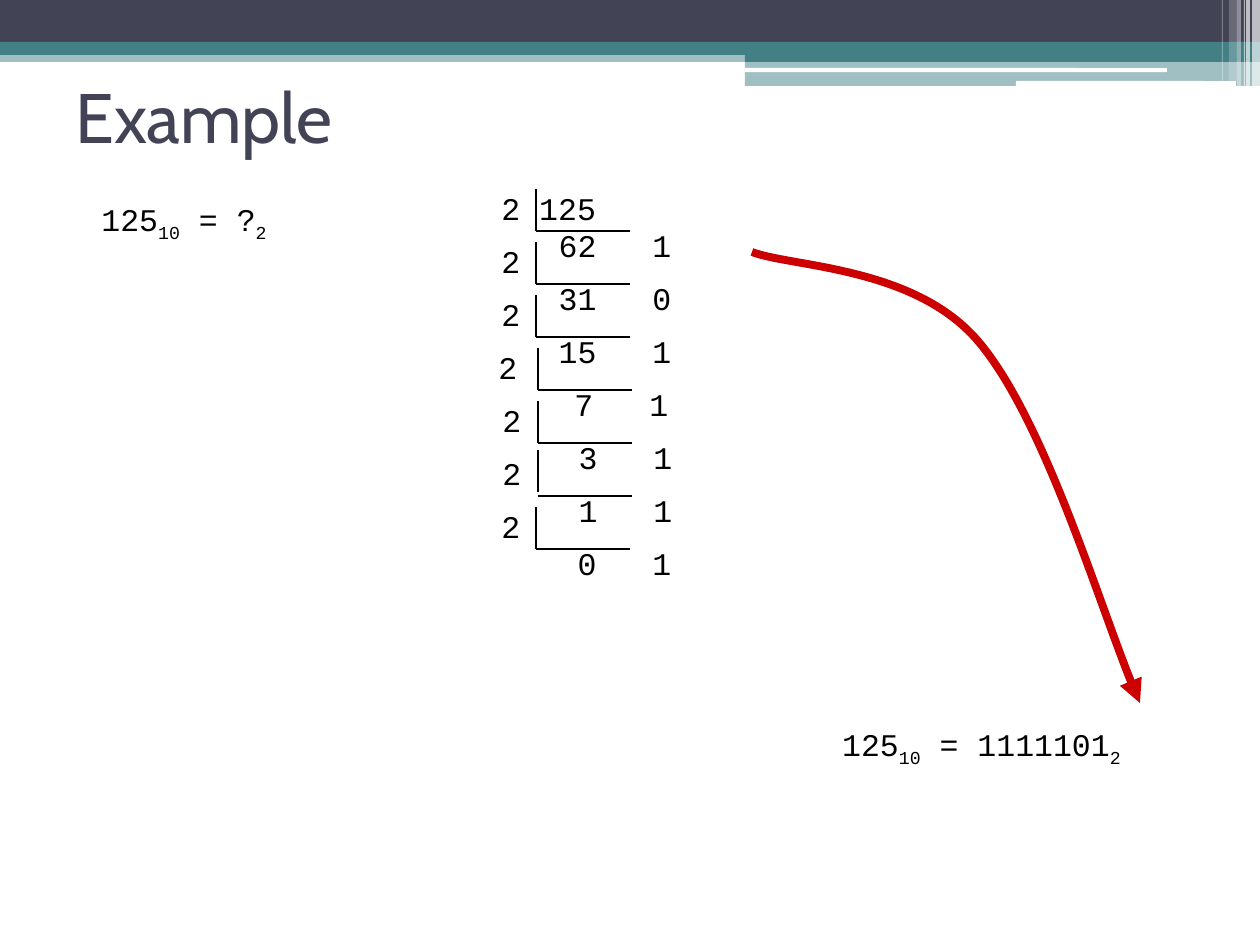
from lxml.etree import SubElement
from pptx import Presentation
from pptx.dml.color import RGBColor
from pptx.enum.shapes import MSO_CONNECTOR, MSO_SHAPE
from pptx.enum.text import MSO_ANCHOR, PP_ALIGN
from pptx.oxml.ns import qn
from pptx.util import Emu, Pt

PX = 914400 / 126
COLORS = {"slate": "424456", "teal": "438086", "white": "FFFFFF",
          "ink": "000000", "arrow": "CC0000"}
HEADING, MONO = "Cabin", "Courier New"


def px(length):
    return Emu(round(length * PX))


def rgb(name):
    return RGBColor.from_string(COLORS[name])


class SlideBuilder:
    def __init__(self, slide):
        self.slide = slide
        self.shapes = slide.shapes

    def bar(self, x, y, w, h, color, opacity=100, kind=MSO_SHAPE.RECTANGLE):
        bar = self.shapes.add_shape(kind, px(x), px(y), px(w), px(h))
        bar.shadow.inherit = False
        bar.fill.solid()
        bar.fill.fore_color.rgb = rgb(color)
        bar.line.fill.background()
        if opacity < 100:
            fill_color = bar.fill._xPr.find(qn("a:solidFill"))[0]
            SubElement(fill_color, qn("a:alpha"), val=str(opacity * 1000))

    def frame(self, x, y, w, h, top_inset=6):
        frame = self.shapes.add_textbox(px(x), px(y), px(w), px(h)).text_frame
        frame.word_wrap = True
        frame.margin_top = px(top_inset)
        return frame

    def style(self, run, size=18, font=MONO, color="ink"):
        run.font.size = Pt(size)
        run.font.name = font
        run.font.color.rgb = rgb(color)

    def title(self, x, y, w, h, words):
        frame = self.frame(x, y, w, h)
        frame.vertical_anchor = MSO_ANCHOR.MIDDLE
        frame.text = words
        self.style(frame.paragraphs[0].runs[0], 40, HEADING, "slate")

    def equation(self, x, y, w, h, parts):
        """Centred text in which every second part is a subscript."""
        equation = self.frame(x, y, w, h, 11).paragraphs[0]
        equation.alignment = PP_ALIGN.CENTER
        for index, part in enumerate(parts):
            run = equation.add_run()
            run.text = part
            self.style(run)
            if index % 2:
                run.font._element.set("baseline", "-25000")

    def division(self, x, y, words):
        """Divisor line above a quotient and remainder set on tab stops."""
        step = self.frame(x, y, 284, 113, 11).paragraphs[0]
        step.text = words
        step.line_spacing = Pt(21)
        tabs = SubElement(step._p.get_or_add_pPr(), qn("a:tabLst"))
        for position, align in ((95, "r"), (151, "l")):
            SubElement(tabs, qn("a:tab"), pos=str(px(position)), algn=align)
        for run in step.runs:
            self.style(run)

    def line(self, x1, y1, x2, y2):
        line = self.shapes.add_connector(
            MSO_CONNECTOR.STRAIGHT, px(x1), px(y1), px(x2), px(y2))
        line.line.color.rgb = rgb("ink")
        line.line.width = Pt(1.5)
        SubElement(line._element.spPr, qn("a:effectLst"))

    def curved_arrow(self, start, curves):
        """Arrow through cubic curves, each given as two controls and an end."""
        builder = self.shapes.build_freeform(*start, scale=PX)
        builder.add_line_segments([curve[-1] for curve in curves], close=False)
        arrow = builder.convert_to_shape()
        arrow.shadow.inherit = False
        arrow.fill.background()
        arrow.line.color.rgb = rgb("arrow")
        arrow.line.width = Pt(4.5)
        SubElement(arrow.line._get_or_add_ln(), qn("a:tailEnd"), type="triangle")
        segments = list(arrow._element.spPr.iter(qn("a:lnTo")))
        for segment, curve in zip(segments, curves):
            segment.tag = qn("a:cubicBezTo")
            segment.remove(segment[0])
            for x, y in curve:
                SubElement(segment, qn("a:pt"),
                           x=str(x - start[0]), y=str(y - start[1]))


def draw_header(page):
    page.bar(0, 50, 1260, 12, "teal", 50)
    page.bar(0, 0, 1260, 42, "slate")
    page.bar(0, 42, 1260, 13, "teal")
    page.bar(745, 50, 515, 12, "teal")
    page.bar(745, 62, 515, 24, "teal", 50)
    for x, y, w, h in ((745, 68, 422, 4), (1016, 81, 220, 5)):
        page.bar(x, y, w, h, "white", kind=MSO_SHAPE.ROUNDED_RECTANGLE)
    for x, w, h, opacity in ((1252, 8, 86, 65), (1246, 4, 86, 65),
                             (1244, 1, 86, 60), (1237, 4, 86, 40),
                             (1229, 8, 81, 20), (1222, 1, 81, 30)):
        page.bar(x, 0, w, h, "white", opacity)


def draw_divisions(page):
    # words, text left, bracket left, lift of the upright
    steps = [("2 125\v\t62\t1", 489, 536, 0),
             ("2\v\t31\t0", 489, 536, 0),
             ("2\v\t15\t1", 489, 536, 0),
             ("2\v\t7\t1", 486, 538, 0),
             ("2\v\t3\t1", 490, 538, 0),
             ("2\v\t1\t1", 490, 538, 4),
             ("2\v\t0\t1", 489, 536, 0)]
    for row, (words, left, bracket, lift) in enumerate(steps):
        top = 179 + 53 * row
        base = top + 52
        page.division(left, top, words)
        page.line(bracket, base - 42 - lift, bracket, base - lift)
        page.line(bracket, base, bracket + 94, base)


def main():
    deck = Presentation()
    deck.slide_width, deck.slide_height = px(1260), px(945)
    page = SlideBuilder(deck.slides.add_slide(deck.slide_layouts[6]))
    draw_header(page)
    page.title(63, 42, 1134, 147, "Example")
    page.equation(42, 189, 284, 63, ["125", "10", " = ?", "2"])
    draw_divisions(page)
    page.equation(756, 714, 451, 63, ["125", "10", " = 1111101", "2"])
    page.curved_arrow((752, 252), [
        ((790, 267), (914, 266), (978, 341)),
        ((1043, 417), (1106, 627), (1140, 703))])
    deck.save("out.pptx")


if __name__ == "__main__":
    main()
